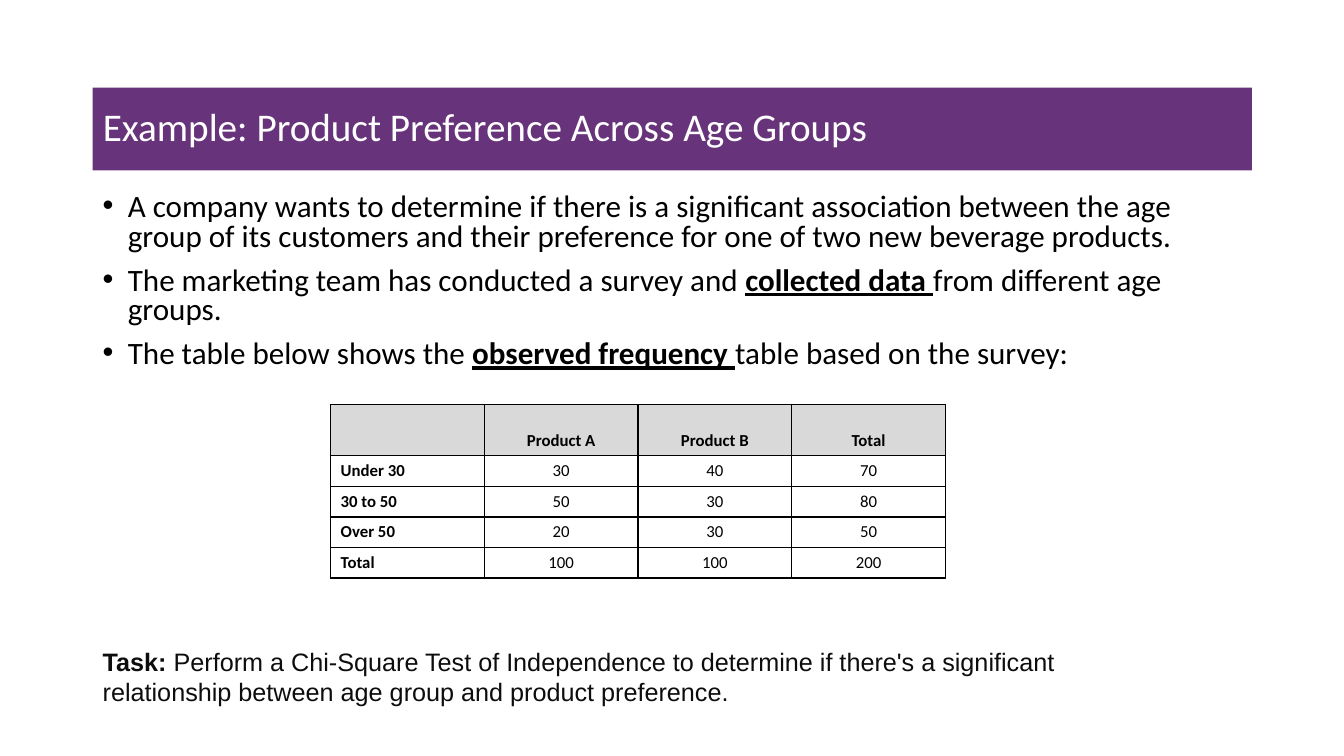
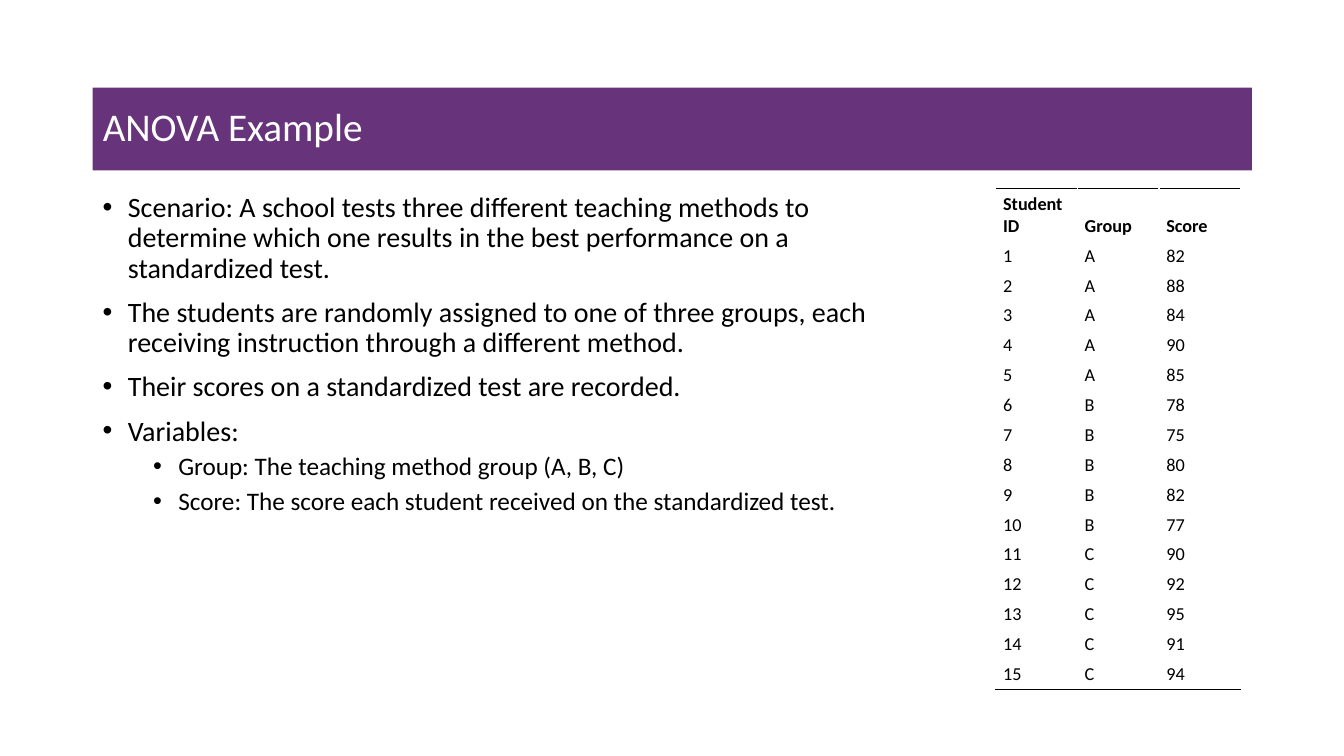
import lxml.etree
import pptx
import pptx.dml.color
import pptx.enum.text
import pptx.oxml.ns
import pptx.util

Pt = pptx.util.Pt
color = pptx.dml.color.RGBColor.from_string
ALIGN = pptx.enum.text.PP_ALIGN
ANCHOR = pptx.enum.text.MSO_ANCHOR
qn = pptx.oxml.ns.qn

PURPLE, WHITE, BLACK, GRAY, INK = "67337A", "FFFFFF", "000000", "D9D9D9", "0D0D0D"
LEFT, BODY_TOP = 66.24, 134.64


def add_run(paragraph, text, size, hex_color=BLACK, bold=False, underline=False, name="Calibri"):
    run = paragraph.add_run()
    run.text = text
    run.font.name = name
    run.font.size = Pt(size)
    run.font.bold = bold
    run.font.underline = underline
    run.font.color.rgb = color(hex_color)


def add_border(cell, side):
    properties = cell._tc.get_or_add_tcPr()
    line = lxml.etree.SubElement(properties, qn("a:ln" + side), w=str(Pt(1)))
    fill = lxml.etree.SubElement(line, qn("a:solidFill"))
    lxml.etree.SubElement(fill, qn("a:srgbClr"), val=BLACK)


scores = {"A": [82, 88, 84, 90, 85], "B": [78, 75, 80, 82, 77], "C": [90, 92, 95, 91, 94]}
students = [(group, score) for group, values in scores.items() for score in values]

slides = [
    {
        "title": "Example: Product Preference Across Age Groups",
        "body_size": (800.64, 135.36),
        "line_spacing": 0.8,
        "font_sizes": [22.2],
        "bullets": [
            (0, [("A company wants to determine if there is a significant association between the age "
                  "group of its customers and their preference for one of two new beverage products.", False)]),
            (0, [("The marketing team has conducted a survey and ", False), ("collected data ", True),
                 ("from different age groups.", False)]),
            (0, [("The table below shows the ", False), ("observed frequency ", True),
                 ("table based on the survey:", False)]),
        ],
        "rows": [
            ("", "Product A", "Product B", "Total"),
            ("Under 30", 30, 40, 70),
            ("30 to 50", 50, 30, 80),
            ("Over 50", 20, 30, 50),
            ("Total", 100, 100, 200),
        ],
        "table_place": (236.16, 289.1),
        "column_width": 109.8,
        "row_heights": (36.5, 21.85),
        "cell_size": 12,
        "cell_margins": (7.2, 3.6),
        "grid": True,
    },
    {
        "title": "ANOVA Example",
        "body_size": (601.2, 393.12),
        "line_spacing": 0.9,
        "font_sizes": [20, 18],
        "bullets": [
            (0, [("Scenario: A school tests three different teaching methods to determine which one "
                  "results in the best performance on a standardized test.", False)]),
            (0, [("The students are randomly assigned to one of three groups, each receiving "
                  "instruction through a different method.", False)]),
            (0, [("Their scores on a standardized test are recorded.", False)]),
            (0, [("Variables:", False)]),
            (1, [("Group: The teaching method group (A, B, C)", False)]),
            (1, [("Score: The score each student received on the standardized test.", False)]),
        ],
        "rows": [("Student ID", "Group", "Score")]
        + [(number, group, score) for number, (group, score) in enumerate(students, 1)],
        "table_place": (711.36, BODY_TOP),
        "column_width": 58.3,
        "row_heights": (37.5, 21.35),
        "cell_size": 13,
        "cell_margins": (5.2, 2.7),
        "grid": False,
    },
]

presentation = pptx.Presentation()
presentation.slide_width, presentation.slide_height = Pt(960), Pt(540)

for content in slides:
    slide = presentation.slides.add_slide(presentation.slide_layouts[5])

    title = slide.shapes.title
    title.left, title.top, title.width, title.height = Pt(LEFT), Pt(62.64), Pt(828), Pt(59.04)
    title.fill.solid()
    title.fill.fore_color.rgb = color(PURPLE)
    title.text_frame.word_wrap = True
    title.text_frame.auto_size = pptx.enum.text.MSO_AUTO_SIZE.NONE
    title.text_frame.vertical_anchor = ANCHOR.MIDDLE
    paragraph = title.text_frame.paragraphs[0]
    paragraph.alignment = ALIGN.LEFT
    paragraph.line_spacing = 0.9
    add_run(paragraph, content["title"], 28, WHITE)

    width, height = content["body_size"]
    body = slide.shapes.add_textbox(Pt(LEFT), Pt(BODY_TOP), Pt(width), Pt(height))
    body.text_frame.word_wrap = True
    for index, (level, runs) in enumerate(content["bullets"]):
        paragraph = body.text_frame.add_paragraph() if index else body.text_frame.paragraphs[0]
        paragraph.level = level
        paragraph.line_spacing = content["line_spacing"]
        if index:
            paragraph.space_before = Pt(5 if level else 10)
        properties = paragraph._p.get_or_add_pPr()
        properties.set("marL", str(Pt(18 + 36 * level)))
        properties.set("indent", str(Pt(-18)))
        lxml.etree.SubElement(properties, qn("a:buFont"), typeface="Arial")
        lxml.etree.SubElement(properties, qn("a:buChar"), char="•")
        for text, key_term in runs:
            add_run(paragraph, text, content["font_sizes"][level], bold=key_term, underline=key_term)

    rows = content["rows"]
    column_count = len(rows[0])
    header_height, row_height = content["row_heights"]
    left, top = content["table_place"]
    frame = slide.shapes.add_table(
        len(rows), column_count, Pt(left), Pt(top),
        Pt(content["column_width"] * column_count),
        Pt(header_height + row_height * (len(rows) - 1)))
    table = frame.table
    table.first_row = table.horz_banding = False
    for column in table.columns:
        column.width = Pt(content["column_width"])
    side_margin, end_margin = content["cell_margins"]
    grid = content["grid"]
    for row_index, values in enumerate(rows):
        header = row_index == 0
        table.rows[row_index].height = Pt(header_height if header else row_height)
        for column_index, value in enumerate(values):
            cell = table.cell(row_index, column_index)
            cell.margin_left = cell.margin_right = Pt(side_margin)
            cell.margin_top = cell.margin_bottom = Pt(end_margin)
            cell.vertical_anchor = ANCHOR.BOTTOM if header else ANCHOR.MIDDLE
            sides = "LRTB" if grid else "T" if header else "B" if row_index == len(rows) - 1 else ""
            for side in sides:
                add_border(cell, side)
            if grid and header:
                cell.fill.solid()
                cell.fill.fore_color.rgb = color(GRAY)
            else:
                cell.fill.background()
            paragraph = cell.text_frame.paragraphs[0]
            paragraph.alignment = ALIGN.CENTER if grid and column_index else ALIGN.LEFT
            if value != "":
                add_run(paragraph, str(value), content["cell_size"],
                        bold=header or (grid and column_index == 0))

task = presentation.slides[0].shapes.add_textbox(Pt(LEFT), Pt(457.92), Pt(743.04), Pt(51.12))
task.text_frame.word_wrap = True
paragraph = task.text_frame.paragraphs[0]
add_run(paragraph, "Task: ", 18, INK, bold=True, name="Arial")
add_run(paragraph, "Perform a Chi-Square Test of Independence to determine if there's a significant "
        "relationship between age group and product preference.", 18, INK, name="Arial")

presentation.save("out.pptx")
